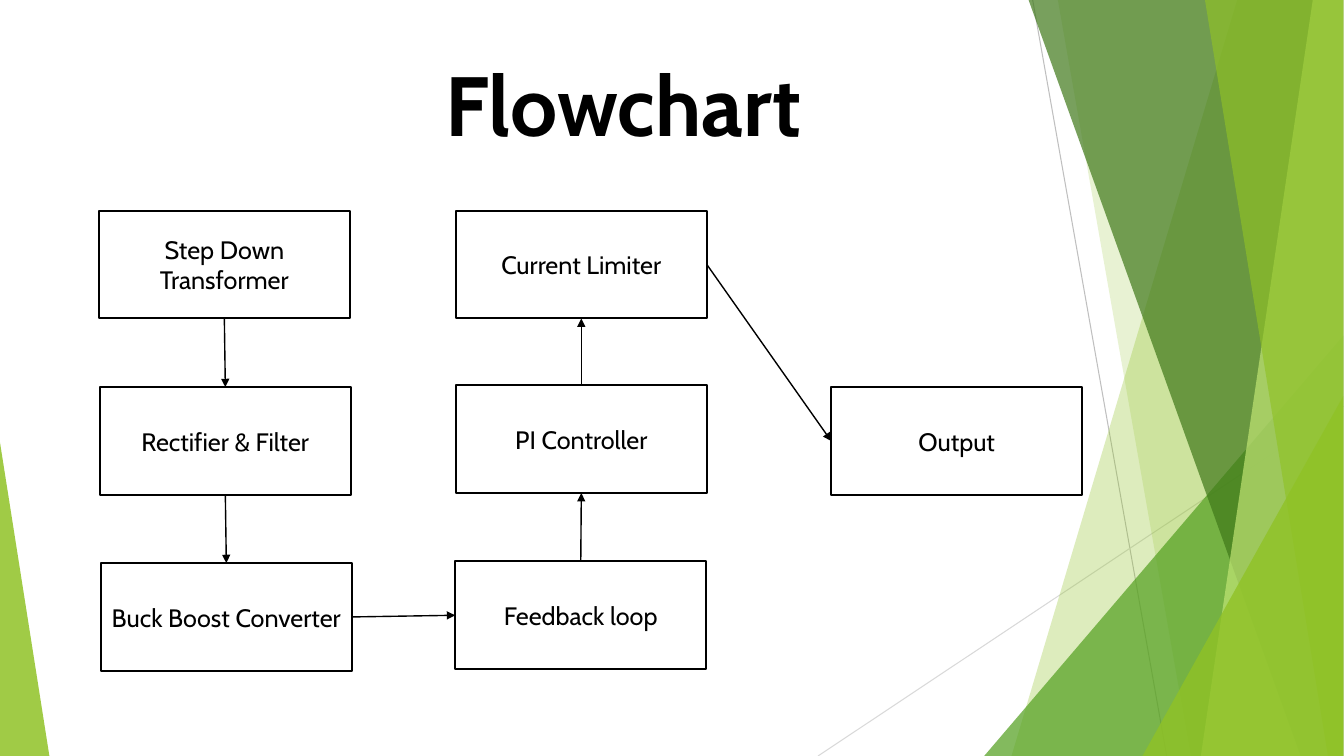
from dataclasses import dataclass
from typing import Any

from lxml.etree import SubElement
from pptx import Presentation
from pptx.dml.color import RGBColor
from pptx.enum.shapes import MSO_CONNECTOR, MSO_SHAPE
from pptx.enum.text import MSO_ANCHOR, PP_ALIGN
from pptx.oxml.ns import qn
from pptx.util import Pt

PAGE_WIDTH, PAGE_HEIGHT = 960.48, 540
FACET_RIGHT = 960
BOX_WIDTH, BOX_HEIGHT = 179.5, 77
TOP, LEFT, BOTTOM, RIGHT = range(4)  # connection sites of a rectangle

FRAME_FORMAT = {
    "word_wrap": True, "vertical_anchor": MSO_ANCHOR.MIDDLE,
    "margin_left": Pt(7.2), "margin_right": Pt(7.2),
    "margin_top": Pt(3.6), "margin_bottom": Pt(3.6),
}
STEP_FONT = {"name": "Cabin", "size": Pt(18), "bold": False}
TITLE_FONT = {"name": "Cabin", "size": Pt(60), "bold": True}


@dataclass(frozen=True)
class Facet:
    """Four-sided panel that reaches the right edge of the page."""
    top_x: float
    bottom_x: float
    color: str
    opacity: int


@dataclass(frozen=True)
class Wedge:
    """Right triangle that stands on the bottom edge of the page."""
    left: float
    top: float
    width: float
    apex: float
    color: str
    opacity: int


@dataclass(frozen=True)
class Step:
    text: str
    left: float
    top: float


@dataclass(frozen=True)
class Arrow:
    start: str
    start_site: int
    end: str
    end_site: int


BACKDROP = [
    Facet(884.2, 722.9, "90C226", 30),
    Facet(756, 851, "90C226", 20),
    Wedge(703.4, 239.8, 256.6, 1, "54A021", 72),
    Facet(735.1, 929.5, "3F7819", 70),
    Facet(938.2, 858.2, "C0E474", 70),
    Facet(861.1, 949, "90C226", 65),
    Wedge(816.5, 283, 143.5, 1, "90C226", 80),
    Wedge(0, 316.1, 35.3, 0, "90C226", 85),
]
STEPS = [
    Step("Step Down Transformer", 70.6, 150.5),
    Step("Rectifier & Filter", 71.3, 276.5),
    Step("Buck Boost Converter", 72, 402.2),
    Step("Feedback loop", 325.3, 401),
    Step("PI Controller", 325.7, 275.2),
    Step("Current Limiter", 325.7, 150.5),
    Step("Output", 594, 276.5),
]
ARROWS = [
    Arrow("Step Down Transformer", BOTTOM, "Rectifier & Filter", TOP),
    Arrow("Rectifier & Filter", BOTTOM, "Buck Boost Converter", TOP),
    Arrow("Buck Boost Converter", RIGHT, "Feedback loop", LEFT),
    Arrow("Feedback loop", TOP, "PI Controller", BOTTOM),
    Arrow("PI Controller", TOP, "Current Limiter", BOTTOM),
    Arrow("Current Limiter", RIGHT, "Output", LEFT),
]


def set_attributes(target: Any, values: dict[str, Any]) -> None:
    for name, value in values.items():
        setattr(target, name, value)


def paint(color_holder: Any, color: str) -> None:
    """Give a fill or a line's fill one solid colour."""
    color_holder.solid()
    color_holder.fore_color.rgb = RGBColor.from_string(color)


def draw_line(page: Any, start: tuple[float, float], end: tuple[float, float],
              color: str, width: float) -> Any:
    line = page.shapes.add_connector(
        MSO_CONNECTOR.STRAIGHT, *(Pt(value) for value in (*start, *end)))
    paint(line.line.fill, color)
    line.line.width = Pt(width)
    SubElement(line._element.spPr, qn("a:effectLst"))
    return line


def draw_backdrop_part(page: Any, part: Facet | Wedge) -> None:
    if isinstance(part, Facet):
        corners = [(FACET_RIGHT, 0), (FACET_RIGHT, PAGE_HEIGHT), (part.bottom_x, PAGE_HEIGHT)]
        builder = page.shapes.build_freeform(Pt(part.top_x), 0)
        builder.add_line_segments([(Pt(x), Pt(y)) for x, y in corners], close=True)
        shape = builder.convert_to_shape()
    else:
        shape = page.shapes.add_shape(
            MSO_SHAPE.ISOSCELES_TRIANGLE, Pt(part.left), Pt(part.top),
            Pt(part.width), Pt(PAGE_HEIGHT - part.top))
        shape.adjustments[0] = part.apex
    shape.shadow.inherit = False
    shape.line.fill.background()
    paint(shape.fill, part.color)
    color_element = shape._element.spPr.find(qn("a:solidFill"))[0]
    SubElement(color_element, qn("a:alpha"), val=str(part.opacity * 1000))


def draw_box(page: Any, preset: MSO_SHAPE, bounds: tuple[float, float, float, float],
             text: str, font: dict[str, Any], outline: str) -> Any:
    box = page.shapes.add_shape(preset, *(Pt(value) for value in bounds))
    box.shadow.inherit = False
    paint(box.fill, "FFFFFF")
    paint(box.line.fill, outline)
    box.line.width = Pt(1.5)
    set_attributes(box.text_frame, FRAME_FORMAT)
    para = box.text_frame.paragraphs[0]
    para.alignment = PP_ALIGN.CENTER
    span = para.add_run()
    span.text = text
    set_attributes(span.font, font)
    paint(span.font.fill, "000000")
    return box


def draw_arrow(page: Any, arrow: Arrow, boxes: dict[str, Any]) -> None:
    line = draw_line(page, (0, 0), (0, 0), "000000", 1)
    line.begin_connect(boxes[arrow.start], arrow.start_site)
    line.end_connect(boxes[arrow.end], arrow.end_site)
    SubElement(line.line._get_or_add_ln(), qn("a:tailEnd"), type="triangle")


def main() -> None:
    deck = Presentation()
    deck.slide_width, deck.slide_height = Pt(PAGE_WIDTH), Pt(PAGE_HEIGHT)
    page = deck.slides.add_slide(deck.slide_layouts[6])

    draw_line(page, (738, 0), (833.8, PAGE_HEIGHT), "BFBFBF", 0.75)
    draw_line(page, (FACET_RIGHT, 290.2), (584.6, PAGE_HEIGHT), "D9D9D9", 0.75)
    for part in BACKDROP:
        draw_backdrop_part(page, part)

    boxes = {
        step.text: draw_box(page, MSO_SHAPE.RECTANGLE,
                            (step.left, step.top, BOX_WIDTH, BOX_HEIGHT),
                            step.text, STEP_FONT, "000000")
        for step in STEPS
    }
    for arrow in ARROWS:
        draw_arrow(page, arrow, boxes)
    draw_box(page, MSO_SHAPE.ROUNDED_RECTANGLE, (202.3, 13, 486, 121),
             "Flowchart", TITLE_FONT, "FFFFFF")

    deck.save("out.pptx")


if __name__ == "__main__":
    main()
